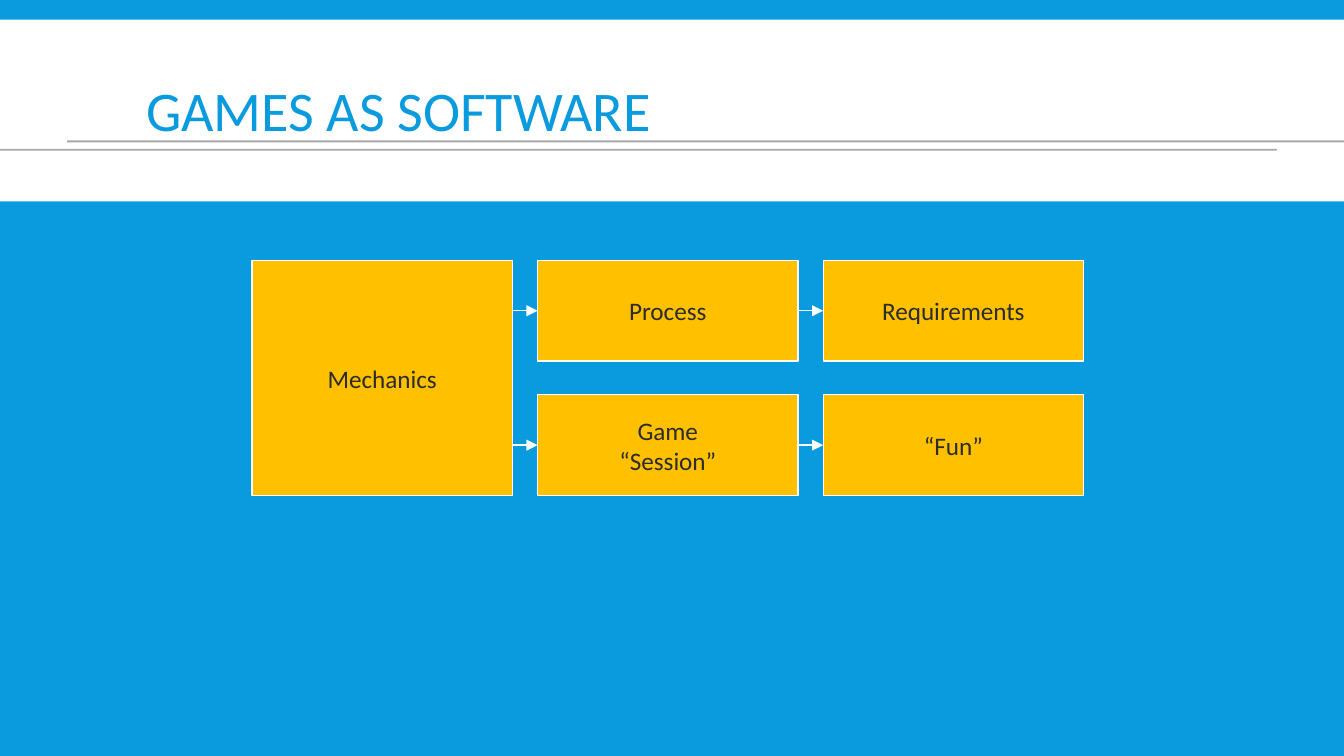
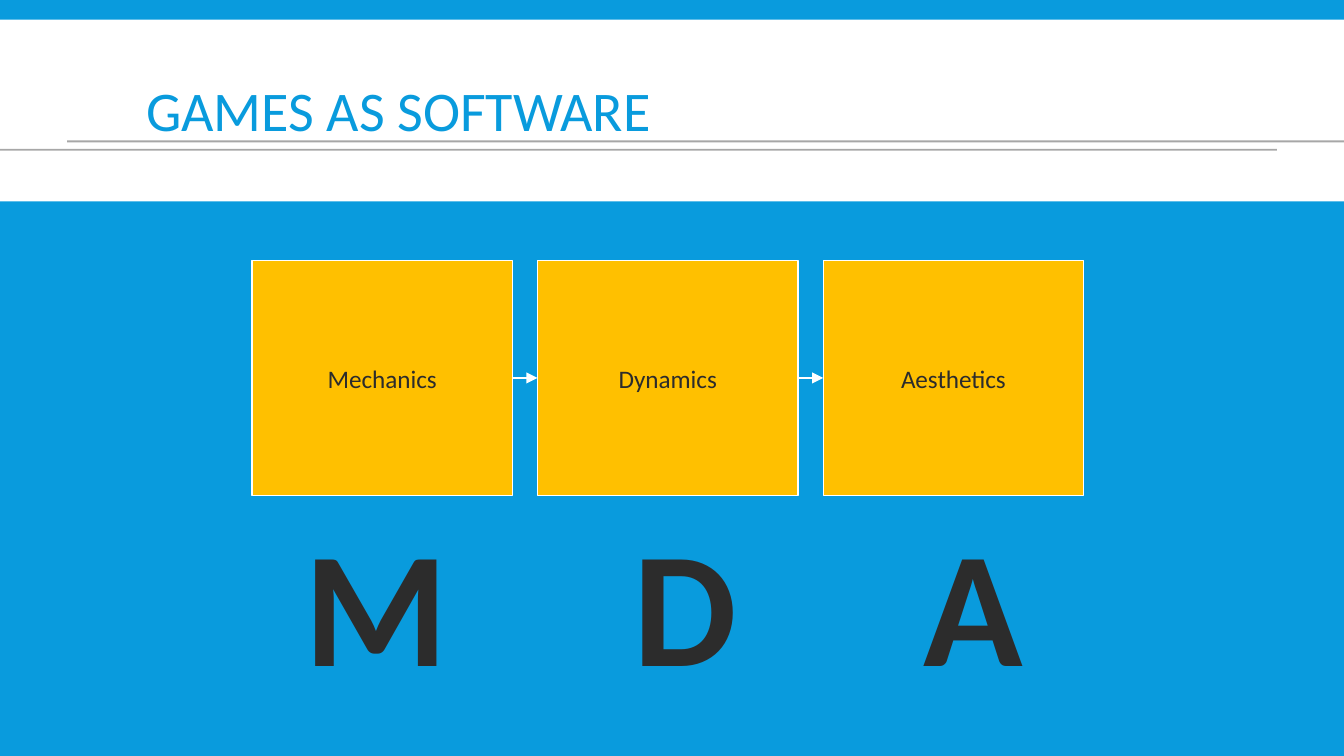
from pptx import Presentation
from pptx.dml.color import RGBColor
from pptx.enum.shapes import MSO_CONNECTOR, MSO_SHAPE
from pptx.enum.text import MSO_ANCHOR, PP_ALIGN
from pptx.oxml.ns import qn
from pptx.util import Emu, Pt
from lxml.etree import SubElement

PX = 9525
FONT = "Calibri"
BLUE = RGBColor(0x09, 0x9B, 0xDD)
WHITE = RGBColor(0xFF, 0xFF, 0xFF)
AMBER = RGBColor(0xFF, 0xC0, 0x00)
INK = RGBColor(0x2C, 0x2C, 0x2C)
RULE = RGBColor(0x1D, 0x1D, 0x1D)

BOX_W, BOX_H, TALL_H = 186, 72, 168
COLS = [180 + i * 204 for i in range(3)]
ROWS = [186 + i * 96 for i in range(2)]


def px(*lengths):
    """Turn pixel lengths into EMU."""
    return [Emu(n * PX) for n in lengths]


def add_run(p, text, size, color, bold=False):
    """Append one styled run to a paragraph."""
    r = p.add_run()
    r.text = text
    r.font.name = FONT
    r.font.size = Pt(size)
    r.font.bold = bold
    r.font.color.rgb = color


def add_rect(s, x, y, w, h, fill, line=None):
    """Add a flat rectangle with an optional outline."""
    sp = s.shapes.add_shape(MSO_SHAPE.RECTANGLE, *px(x, y, w, h))
    sp.shadow.inherit = False
    sp.fill.solid()
    sp.fill.fore_color.rgb = fill
    if line is None:
        sp.line.fill.background()
    else:
        sp.line.color.rgb = line
        sp.line.width = Pt(0.75)
    return sp


def add_box(s, col, y, h, *lines):
    """Add a labelled amber box in a column, one paragraph per line."""
    tf = add_rect(s, COLS[col], y, BOX_W, h, AMBER, WHITE).text_frame
    tf.word_wrap = False
    tf.vertical_anchor = MSO_ANCHOR.MIDDLE
    for i, text in enumerate(lines):
        p = tf.add_paragraph() if i else tf.paragraphs[0]
        p.alignment = PP_ALIGN.CENTER
        add_run(p, text, 13.5, INK)


def add_line(s, x1, x2, y, color, width):
    """Add a horizontal line without a shadow."""
    line = s.shapes.add_connector(MSO_CONNECTOR.STRAIGHT, *px(x1, y, x2, y))
    line.line.color.rgb = color
    line.line.width = Pt(width)
    SubElement(line._element.spPr, qn("a:effectLst"))
    return line


def add_rule(s, x1, x2, y):
    """Add a translucent header rule."""
    line = add_line(s, x1, x2, y, RULE, 1)
    color = line._element.spPr.find(".//" + qn("a:srgbClr"))
    SubElement(color, qn("a:alpha"), val="38000")


def add_arrows(s, y):
    """Add an arrow across each gap between columns."""
    for left, right in zip(COLS, COLS[1:]):
        arrow = add_line(s, left + BOX_W, right, y, WHITE, 0.75)
        ln = arrow._element.spPr.find(qn("a:ln"))
        SubElement(ln, qn("a:tailEnd"), type="triangle")


def add_text(s, x, y, w, h):
    """Add a wrapping text box and return its frame."""
    tf = s.shapes.add_textbox(*px(x, y, w, h)).text_frame
    tf.word_wrap = True
    return tf


def add_initials(s, text, tabs):
    """Add large bold initials spaced by tab stops."""
    p = add_text(s, 208, 354, 537, 152).paragraphs[0]
    tab_list = SubElement(p._p.get_or_add_pPr(), qn("a:tabLst"))
    for pos in tabs:
        SubElement(tab_list, qn("a:tab"), pos=str(pos * PX), algn="l")
    add_run(p, text, 88, INK, bold=True)


def new_slide(prs, title):
    """Add a slide with the shared background, header and title."""
    s = prs.slides.add_slide(prs.slide_layouts[6])
    s.background.fill.solid()
    s.background.fill.fore_color.rgb = BLUE
    add_rect(s, 0, 14, 960, 130, WHITE)
    add_rule(s, 0, 912, 107)
    add_rule(s, 48, 960, 101)
    tf = add_text(s, 95, 22, 771, 119)
    tf.vertical_anchor = MSO_ANCHOR.MIDDLE
    p = tf.paragraphs[0]
    p.line_spacing = 0.85
    add_run(p, title, 30, BLUE)
    return s


def main():
    """Build both slides and save the deck."""
    prs = Presentation()
    prs.slide_width, prs.slide_height = px(960, 540)
    title = "GAMES AS SOFTWARE"

    s = new_slide(prs, title)
    add_box(s, 0, ROWS[0], TALL_H, "Mechanics")
    chains = [(["Process"], ["Requirements"]), (["Game", "“Session”"], ["“Fun”"])]
    for y, chain in zip(ROWS, chains):
        for col, lines in enumerate(chain, 1):
            add_box(s, col, y, BOX_H, *lines)
        add_arrows(s, y + BOX_H // 2)

    s = new_slide(prs, title)
    for col, label in enumerate(["Mechanics", "Dynamics", "Aesthetics"]):
        add_box(s, col, ROWS[0], TALL_H, label)
    add_arrows(s, ROWS[0] + TALL_H // 2)
    add_initials(s, "M\tD\tA", [235, 442])

    prs.save("out.pptx")


if __name__ == "__main__":
    main()
